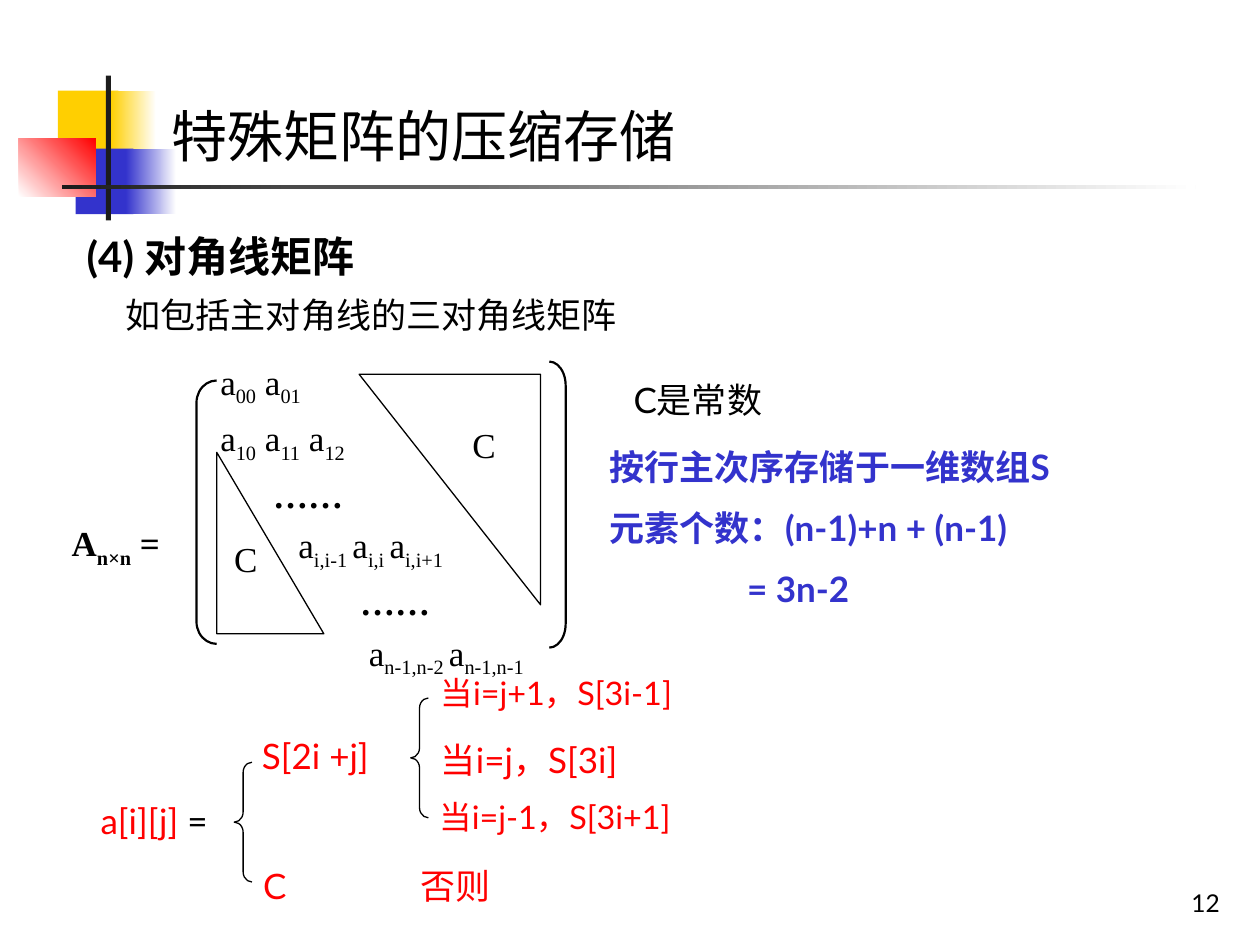
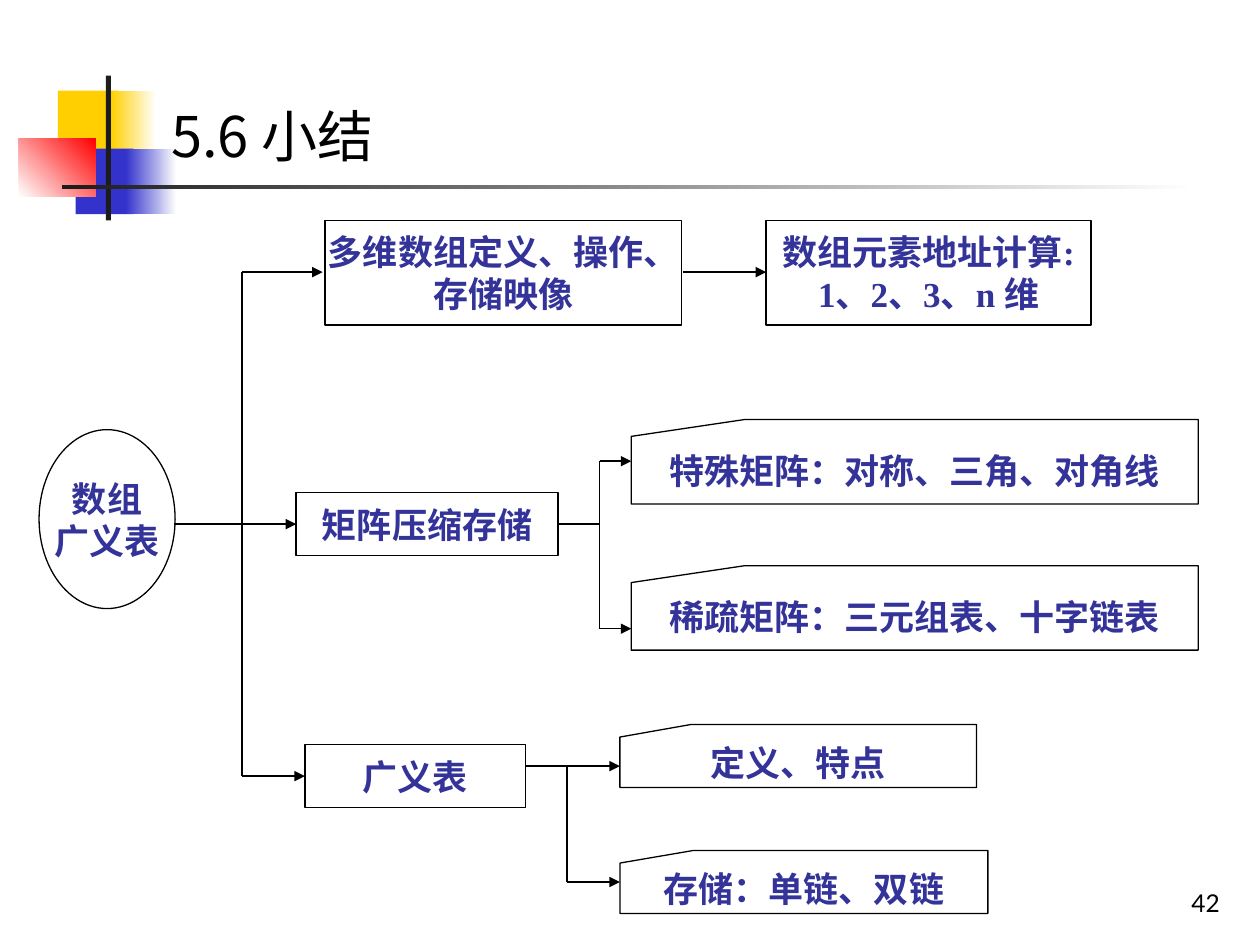
from itertools import pairwise

from lxml.etree import SubElement
from pptx import Presentation
from pptx.dml.color import RGBColor
from pptx.enum.shapes import MSO_CONNECTOR, MSO_SHAPE
from pptx.enum.text import MSO_ANCHOR, PP_ALIGN
from pptx.oxml.ns import qn
from pptx.util import Inches, Pt

COLORS = {
    "black": "000000", "white": "FFFFFF", "yellow": "FFCF01", "blue": "3333CC",
    "red": "FF0000", "bar": "1C1C1C", "navy": "333399",
}
CJK = "Noto Sans CJK JP"
SERIF = "Times New Roman"
TITLE = {"size": 32, "name": CJK, "color": "black"}
HEADING = {"size": 24, "name": "Lato", "color": "black", "bold": True}
BODY = {"size": 20, "name": "Lato", "color": "black"}
POINT = {**BODY, "color": "blue", "bold": True}
FORMULA = {**BODY, "color": "red"}
CASE = {**FORMULA, "size": 18.5}
MATRIX = {**BODY, "name": SERIF}
NODE = {"size": 20, "name": SERIF, "color": "navy", "bold": True}
NUMBER = {**BODY, "size": 14}


def rgb(name):
    return RGBColor.from_string(COLORS[name])


def box(at):
    return [Inches(v) for v in at]


def add_run(p, text, fmt):
    r = p.add_run()
    r.text = text
    fmt = dict(fmt)
    baseline = fmt.pop("baseline", None)
    r.font.color.rgb = rgb(fmt.pop("color"))
    fmt["size"] = Pt(fmt["size"])
    for key, value in fmt.items():
        setattr(r.font, key, value)
    rPr = r.font._element
    SubElement(rPr, qn("a:ea"), typeface=CJK)
    if baseline:
        rPr.set("baseline", str(baseline))


def subscripted(text, **extra):
    parts = text.split("|")
    return [(part, {**extra, "baseline": -25000} if i % 2 else extra)
            for i, part in enumerate(parts) if part]


def fill_text(tf, lines, fmt, indents=None, **paragraph):
    for i, line in enumerate(lines):
        p = tf.add_paragraph() if i else tf.paragraphs[0]
        for key, value in paragraph.items():
            setattr(p, key, value)
        if indents and indents[i]:
            p._p.get_or_add_pPr().set("marL", str(Inches(indents[i])))
        for text, extra in [(line, {})] if isinstance(line, str) else line:
            add_run(p, text, {**fmt, **extra})


def add_text(s, at, lines, fmt, before=5, anchor=MSO_ANCHOR.TOP, **paragraph):
    tf = s.shapes.add_textbox(*box(at)).text_frame
    tf.word_wrap = True
    tf.vertical_anchor = anchor
    fill_text(tf, lines, fmt, space_before=Pt(before), **paragraph)


def add_block(s, at, colors, angle=0):
    sp = s.shapes.add_shape(MSO_SHAPE.RECTANGLE, *box(at))
    sp.shadow.inherit = False
    sp.line.fill.background()
    if len(colors) == 1:
        sp.fill.solid()
        sp.fill.fore_color.rgb = rgb(colors[0])
        return
    sp.fill.gradient()
    sp.fill.gradient_angle = angle
    for stop, color, position in zip(sp.fill.gradient_stops, colors, (0, 1)):
        stop.color.rgb = rgb(color)
        stop.position = position


def add_outline(s, kind, at, width=0.75, fill=None, rotation=0, curve=None):
    sp = s.shapes.add_shape(kind, *box(at))
    sp.shadow.inherit = False
    sp.rotation = rotation
    sp.line.color.rgb = rgb("black")
    sp.line.width = Pt(width)
    if curve:
        sp.adjustments[0] = curve
    if fill:
        sp.fill.solid()
        sp.fill.fore_color.rgb = rgb(fill)
    else:
        sp.fill.background()
    return sp


def add_node(s, kind, at, *lines):
    tf = add_outline(s, kind, at).text_frame
    tf.word_wrap = False
    tf.vertical_anchor = MSO_ANCHOR.MIDDLE
    fill_text(tf, lines, NODE, alignment=PP_ALIGN.CENTER)


def add_route(s, *points, arrow=True):
    for start, end in pairwise(points):
        c = s.shapes.add_connector(MSO_CONNECTOR.STRAIGHT, *box(start + end))
        c.line.color.rgb = rgb("black")
        c.line.width = Pt(0.75)
        if arrow and end == points[-1]:
            SubElement(c.line._get_or_add_ln(), qn("a:tailEnd"), type="triangle")
        SubElement(c._element.spPr, qn("a:effectLst"))


def new_slide(prs, title, number):
    s = prs.slides.add_slide(prs.slide_layouts[6])
    add_block(s, (0.46, 0.72, 0.48, 0.52), ["yellow"])
    add_block(s, (0.88, 0.72, 0.36, 0.52), ["yellow", "white"])
    add_block(s, (0.6, 1.18, 0.46, 0.52), ["blue"])
    add_block(s, (1, 1.18, 0.4, 0.52), ["blue", "white"])
    add_block(s, (0.15, 1.1, 0.61, 0.46), ["white", "red"], 45)
    add_block(s, (0.84, 0.6, 0.04, 1.15), ["bar"])
    add_block(s, (0.49, 1.47, 9, 0.03), ["bar", "white"])
    add_text(s, (1.26, 0.76, 8.74, 0.64), [title], TITLE, before=20)
    add_text(s, (7.7, 6.83, 2.08, 0.5), [number], NUMBER, before=0,
             anchor=MSO_ANCHOR.BOTTOM, alignment=PP_ALIGN.RIGHT)
    return s


def draw_matrix(s):
    rows = [
        subscripted("a|00| a|01"),
        subscripted("a|10| a|11| a|12"),
        subscripted("……", bold=True),
        subscripted("a|i,i-1 |a|i,i |a|i,i+1"),
        subscripted("……", bold=True),
        subscripted("a|n-1,n-2 |a|n-1,n-1"),
    ]
    add_text(s, (1.65, 2.81, 3.04, 2.63), rows, MATRIX,
             indents=[0, 0, 0.42, 0.62, 1.11, 1.18])
    add_text(s, (0.47, 4.09, 2.18, 0.48), [subscripted("A|n×n| =", bold=True)],
             MATRIX, before=12.5)
    add_outline(s, MSO_SHAPE.LEFT_BRACKET, (1.56, 3.02, 0.16, 2.09), 1.25, curve=1.1)
    add_outline(s, MSO_SHAPE.RIGHT_BRACKET, (4.36, 2.87, 0.13, 2.27), 1.25, curve=1.46)
    triangle = MSO_SHAPE.RIGHT_TRIANGLE
    add_outline(s, triangle, (1.72, 3.59, 0.85, 1.44), fill="white")
    add_outline(s, triangle, (2.85, 2.97, 1.44, 1.83), fill="white", rotation=180)
    for at in ((1.76, 4.22, 0.45, 0.44), (3.65, 3.31, 0.67, 0.44)):
        add_text(s, at, ["C"], MATRIX, before=12.5)


def draw_mapping(s):
    add_text(s, (0.7, 6.21, 1.27, 0.83),
             [[("a[i][j]", {}), (" =", {"color": "black"})]], FORMULA, line_spacing=1.25)
    for left, top, text, fmt, spacing in (
        (1.98, 5.7, "S[2i +j]", FORMULA, 1.25),
        (1.99, 6.73, "C", FORMULA, 1.25),
        (3.24, 6.73, "否则", FORMULA, 1.25),
        (3.4, 5.25, "当i=j+1，S[3i-1]", CASE, 1.15),
        (3.4, 5.73, "当i=j，S[3i]", FORMULA, 1.25),
        (3.39, 6.23, "当i=j-1，S[3i+1]", CASE, 1.15),
    ):
        add_text(s, (left, top, 2.39, 0.57), [text], fmt, line_spacing=spacing)
    for left, top in ((1.86, 6.05), (3.26, 5.54)):
        add_outline(s, MSO_SHAPE.LEFT_BRACE, (left, top, 0.14, 0.95), curve=0.57)


def matrix_slide(prs):
    s = new_slide(prs, "特殊矩阵的压缩存储", "12")
    add_text(s, (0.59, 1.78, 7.4, 0.5), ["(4) 对角线矩阵"], HEADING, before=15)
    add_text(s, (0.9, 2.28, 4.68, 0.59), ["如包括主对角线的三对角线矩阵"], BODY)
    add_text(s, (4.93, 2.87, 1.87, 0.73), ["C是常数"], BODY, line_spacing=1.25)
    add_text(s, (4.74, 3.4, 4.82, 1.88),
             ["按行主次序存储于一维数组S", "元素个数：(n-1)+n + (n-1)", "= 3n-2"],
             POINT, indents=[0, 0, 1.09], line_spacing=1.25)
    draw_matrix(s)
    draw_mapping(s)


def summary_slide(prs):
    s = new_slide(prs, "5.6 小结", "42")
    rect, card = MSO_SHAPE.RECTANGLE, MSO_SHAPE.FLOWCHART_CARD
    for kind, at, *lines in (
        (MSO_SHAPE.OVAL, (0.31, 3.41, 1.08, 1.42), "数组", "广义表"),
        (rect, (2.58, 1.75, 2.83, 0.83), "多维数组定义、操作、", "存储映像"),
        (rect, (6.08, 1.75, 2.58, 0.83), "数组元素地址计算:", "1、2、3、n 维"),
        (rect, (2.35, 3.91, 2.08, 0.5), "矩阵压缩存储"),
        (rect, (2.42, 5.91, 1.75, 0.5), "广义表"),
        (card, (5.01, 3.33, 4.5, 0.67), "特殊矩阵：对称、三角、对角线"),
        (card, (5.01, 4.49, 4.5, 0.67), "稀疏矩阵：三元组表、十字链表"),
        (card, (4.92, 5.75, 2.83, 0.5), "定义、特点"),
        (card, (4.92, 6.75, 2.92, 0.5), "存储：单链、双链"),
    ):
        add_node(s, kind, at, *lines)
    trunk, fork = (1.92, 4.16), (4.76, 4.16)
    add_route(s, (1.38, 4.16), trunk, arrow=False)
    add_route(s, trunk, (1.92, 2.16), (2.56, 2.16))
    add_route(s, trunk, (2.35, 4.16))
    add_route(s, trunk, (1.92, 6.16), (2.42, 6.16))
    add_route(s, (5.42, 2.16), (6.08, 2.16))
    add_route(s, (4.43, 4.16), fork, arrow=False)
    for y in (3.66, 4.99):
        add_route(s, fork, (4.76, y), (5.01, y))
    add_route(s, (4.17, 6.08), (4.92, 6.08))
    add_route(s, (4.5, 6.08), (4.5, 7), (4.92, 7))


def main():
    prs = Presentation()
    prs.slide_width, prs.slide_height = Inches(10), Inches(7.5)
    matrix_slide(prs)
    summary_slide(prs)
    prs.save("out.pptx")


if __name__ == "__main__":
    main()
